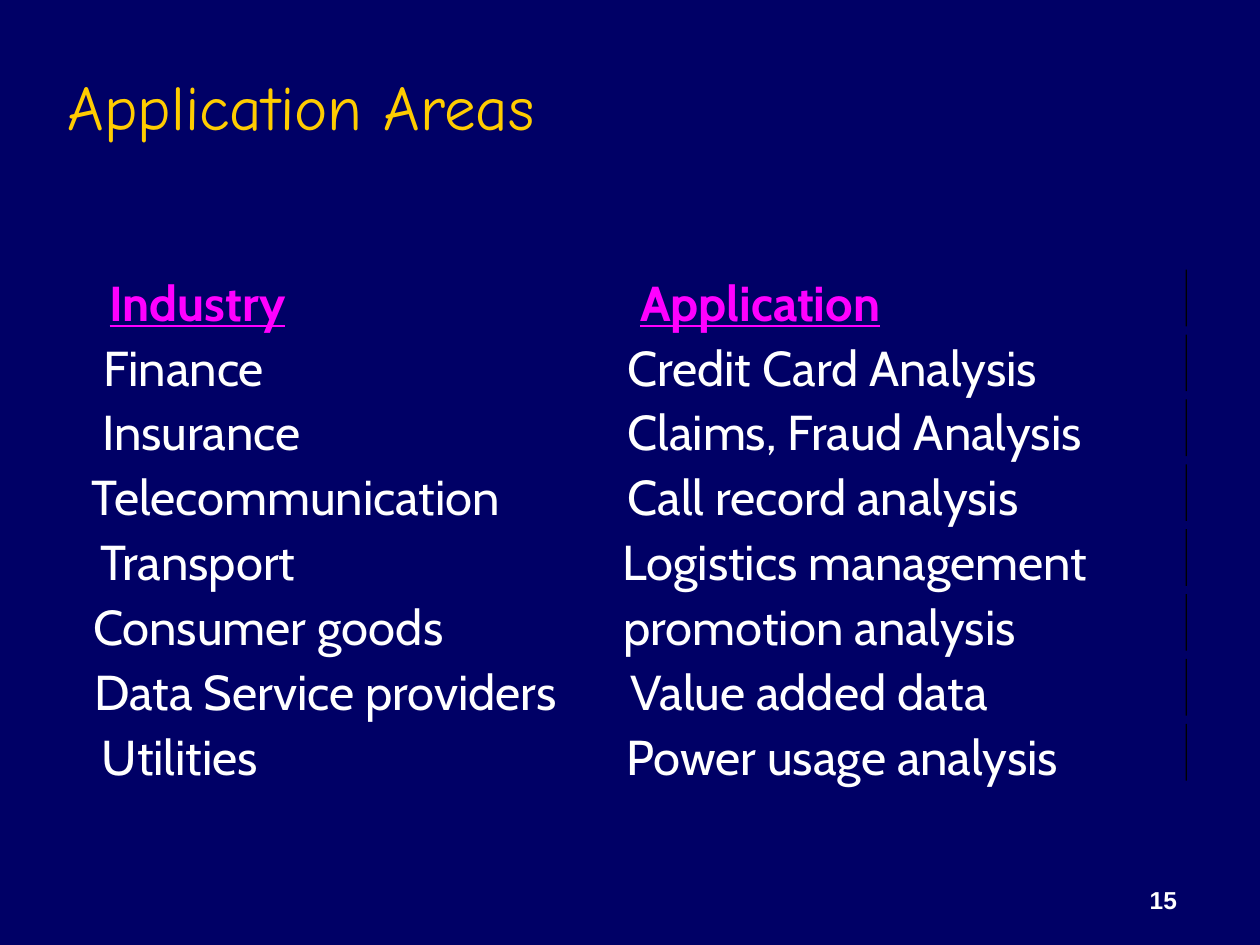
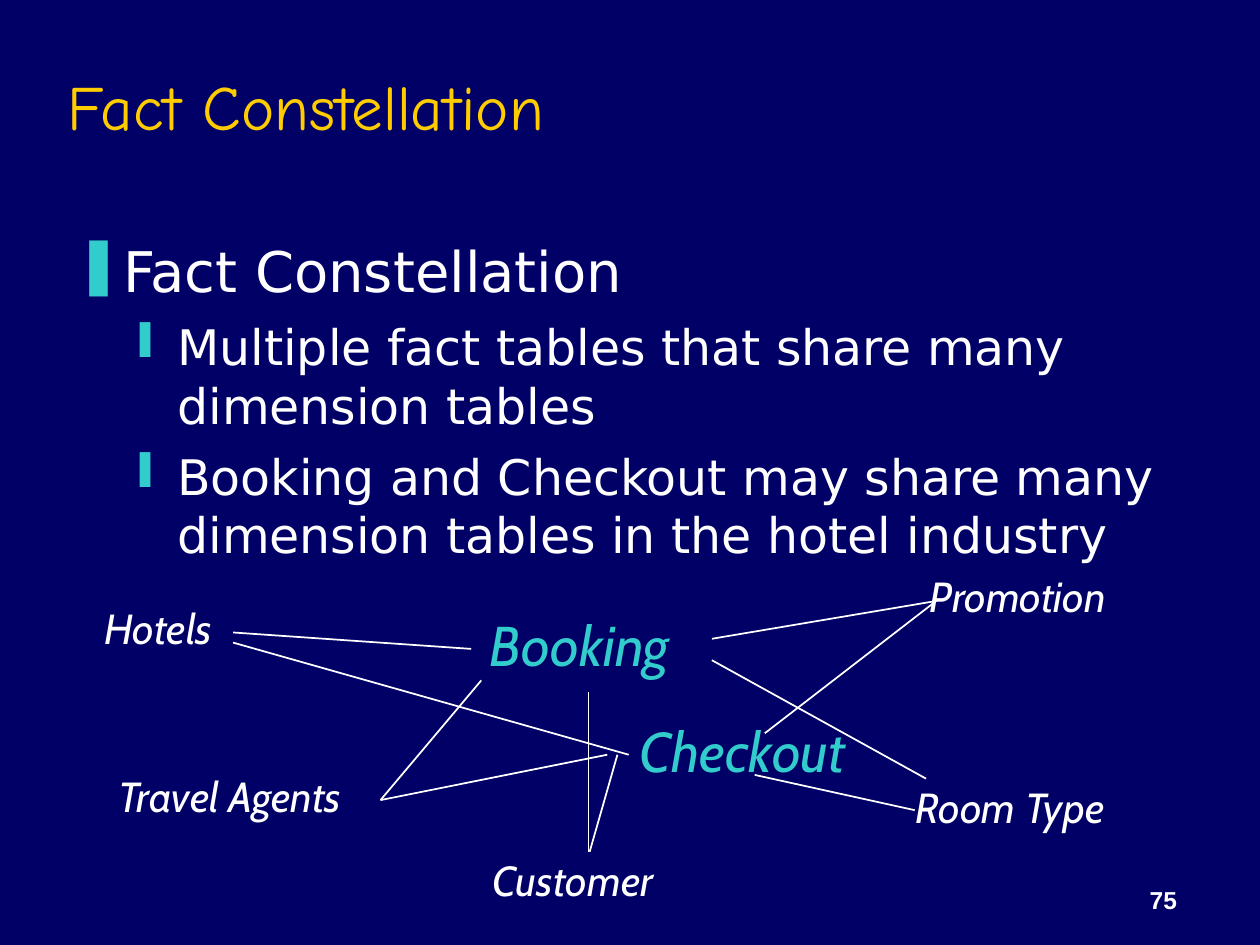
"""Build two dark slides on data warehouse uses and fact tables."""
import typing

import lxml.etree
import pptx
import pptx.dml.color
import pptx.enum.shapes
import pptx.enum.text
import pptx.oxml.ns
import pptx.util

Inches = pptx.util.Inches
Pt = pptx.util.Pt
Color = pptx.dml.color.RGBColor
Align = pptx.enum.text.PP_ALIGN
Anchor = pptx.enum.text.MSO_ANCHOR
Fit = pptx.enum.text.MSO_AUTO_SIZE

NAVY = Color(0x00, 0x00, 0x66)
GOLD = Color(0xFF, 0xCC, 0x00)
PINK = Color(0xFF, 0x00, 0xFF)
TEAL = Color(0x33, 0xCC, 0xCC)
WHITE = Color(0xFF, 0xFF, 0xFF)
BLACK = Color(0x00, 0x00, 0x00)


class Style(typing.NamedTuple):
    font: str
    size: int
    color: Color
    bold: bool = False
    italic: bool = False
    under: bool = False


class Box(typing.NamedTuple):
    left: float
    top: float
    width: float
    height: float


class Row(typing.NamedTuple):
    field: str
    field_box: tuple[float, float]
    use: str
    use_box: tuple[float, float]


class Label(typing.NamedTuple):
    text: str
    box: Box
    style: Style


class Link(typing.NamedTuple):
    start: tuple[float, float]
    end: tuple[float, float]


class Level(typing.NamedTuple):
    margin: float
    indent: float
    space: int
    mark: str
    style: Style


TITLE = Style("Comic Neue", 36, GOLD)
NUMBER = Style("Arial", 14, WHITE, bold=True)
HEAD = Style("Cabin", 28, PINK, bold=True, under=True)
CELL = Style("Cabin", 28, WHITE)
SIDE = Style("Cabin", 24, WHITE, italic=True)
FACT = Style("Cabin", 32, TEAL, italic=True)

ROW_TOP, ROW_STEP = 2.16, 0.515
ROWS = [
    Row("Industry", (0.87, 1.67), "Application", (5.08, 2.21)),
    Row("Finance", (0.82, 1.41), "Credit Card Analysis", (4.98, 3.65)),
    Row("Insurance", (0.81, 1.82), "Claims, Fraud Analysis", (4.98, 4.05)),
    Row("Telecommunication", (0.73, 3.6), "Call record analysis", (4.98, 3.51)),
    Row("Transport", (0.8, 1.8), "Logistics management", (4.94, 4.14)),
    Row("Consumer goods", (0.74, 3.12), "promotion analysis", (4.95, 3.5)),
    Row("Data Service providers", (0.75, 4.09), "Value added data", (5, 3.18)),
    Row("Utilities", (0.81, 1.37), "Power usage analysis", (4.97, 3.91)),
]

TOPIC = Level(0.38, -0.38, 0, "❚", Style("DejaVu Sans", 32, WHITE))
POINT = Level(0.81, -0.31, 7, "❙", Style("DejaVu Sans", 28, WHITE))
POINTS = [
    (TOPIC, "Fact Constellation"),
    (POINT, "Multiple fact tables that share many dimension tables"),
    (POINT, "Booking and Checkout may share many dimension tables "
            "in the hotel industry"),
]

LABELS = [
    Label("Hotels", Box(0.73, 4.73, 1.12, 0.5), SIDE),
    Label("Travel Agents", Box(0.84, 6.07, 2.18, 0.5), SIDE),
    Label("Promotion", Box(7.28, 4.48, 1.76, 0.5), SIDE),
    Label("Room Type", Box(7.17, 6.15, 1.83, 0.5), SIDE),
    Label("Customer", Box(3.81, 6.73, 1.62, 0.5), SIDE),
    Label("Booking", Box(3.79, 4.8, 1.82, 0.63), FACT),
    Label("Checkout", Box(4.98, 5.64, 2.02, 0.63), FACT),
]
AGENTS, PROMO = (3.02, 6.35), (7.43, 4.77)
LINKS = [
    Link((1.85, 5.02), (3.74, 5.15)),
    Link(AGENTS, (3.82, 5.4)),
    Link((4.67, 6.76), (4.67, 5.49)),
    Link(PROMO, (5.65, 5.07)),
    Link((7.35, 6.18), (5.65, 5.24)),
    Link((1.85, 5.1), (4.99, 5.99)),
    Link(AGENTS, (4.82, 5.99)),
    Link((4.68, 6.76), (4.9, 5.99)),
    Link(PROMO, (6.07, 5.82)),
    Link((7.26, 6.43), (5.99, 6.15)),
]


def place(box: Box) -> list[int]:
    """Turn a box into lengths."""
    return [Inches(part) for part in box]


def paint(line: typing.Any, style: Style) -> None:
    """Format every run of a paragraph."""
    for run in line.runs:
        font = run.font
        font.name, font.size = style.font, Pt(style.size)
        font.color.rgb = style.color
        font.bold, font.italic = style.bold, style.italic
        font.underline = style.under


def write(shapes: typing.Any, text: str, box: Box, style: Style,
          wrap: bool = False, inset: bool = True) -> typing.Any:
    """Add a text box and return its frame."""
    frame = shapes.add_textbox(*place(box)).text_frame
    frame.word_wrap = wrap
    frame.auto_size = Fit.NONE if wrap else Fit.SHAPE_TO_FIT_TEXT
    if not inset:
        frame.margin_left = frame.margin_right = 0
        frame.margin_top = frame.margin_bottom = 0
    frame.text = text
    paint(frame.paragraphs[0], style)
    return frame


def start(deck: typing.Any, title: str, number: int) -> typing.Any:
    """Add a slide with its ground, title and page number."""
    slide = deck.slides.add_slide(deck.slide_layouts[6])
    slide.background.fill.solid()
    slide.background.fill.fore_color.rgb = NAVY
    page = write(slide.shapes, str(number), Box(7.36, 6.81, 2.08, 0.5),
                 NUMBER, wrap=True)
    page.vertical_anchor = Anchor.BOTTOM
    page.paragraphs[0].alignment = Align.RIGHT
    head = write(slide.shapes, title, Box(0.44, 0.25, 8.5, 1.17),
                 TITLE, wrap=True)
    head.vertical_anchor = Anchor.MIDDLE
    return slide


def mark(line: typing.Any, level: Level) -> None:
    """Give a paragraph its bullet and indent."""
    tag = pptx.oxml.ns.qn
    props = line._p.get_or_add_pPr()
    props.set("marL", str(Inches(level.margin)))
    props.set("indent", str(Inches(level.indent)))
    tint = lxml.etree.SubElement(props, tag("a:buClr"))
    lxml.etree.SubElement(tint, tag("a:srgbClr"), val=str(TEAL))
    lxml.etree.SubElement(props, tag("a:buChar"), char=level.mark)


def list_points(slide: typing.Any) -> None:
    """Add the bullet list."""
    text = "\n".join(words for _, words in POINTS)
    frame = write(slide.shapes, text, Box(0.5, 1.83, 8.94, 4.83),
                  TOPIC.style, wrap=True)
    for line, (level, _) in zip(frame.paragraphs, POINTS):
        line.level = int(level is POINT)
        if level.space:
            line.space_before = Pt(level.space)
        mark(line, level)
        paint(line, level.style)


def join(shapes: typing.Any, link: Link) -> None:
    """Draw one plain line."""
    ends = [Inches(part) for part in link.start + link.end]
    line = shapes.add_connector(pptx.enum.shapes.MSO_CONNECTOR.STRAIGHT, *ends)
    line.line.color.rgb = WHITE
    line.line.width = Pt(1)
    lxml.etree.SubElement(line._element.spPr, pptx.oxml.ns.qn("a:effectLst"))


def draw_rule(shapes: typing.Any, box: Box) -> None:
    """Draw a thin black bar."""
    bar = shapes.add_shape(pptx.enum.shapes.MSO_SHAPE.RECTANGLE, *place(box))
    bar.shadow.inherit = False
    bar.fill.solid()
    bar.fill.fore_color.rgb = BLACK
    bar.line.fill.background()


def build_uses(deck: typing.Any) -> None:
    """Build the slide that pairs fields with uses."""
    shapes = start(deck, "Application Areas", 15).shapes
    for index, row in enumerate(ROWS):
        top = ROW_TOP + index * ROW_STEP
        style = CELL if index else HEAD
        for text, (left, width) in ((row.field, row.field_box),
                                    (row.use, row.use_box)):
            write(shapes, text, Box(left, top, width, 0.47), style,
                  inset=False)
        draw_rule(shapes, Box(9.41, top - 0.02, 0.01, 0.45))


def build_facts(deck: typing.Any) -> None:
    """Build the slide on shared fact tables."""
    slide = start(deck, "Fact Constellation", 75)
    list_points(slide)
    group = slide.shapes.add_group_shape().shapes
    for label in LABELS:
        write(group, label.text, label.box, label.style)
    for link in LINKS:
        join(group, link)


def main() -> None:
    """Build and save the deck."""
    deck = pptx.Presentation()
    deck.slide_width, deck.slide_height = Inches(10), Inches(7.5)
    build_uses(deck)
    build_facts(deck)
    deck.save("out.pptx")


if __name__ == "__main__":
    main()
